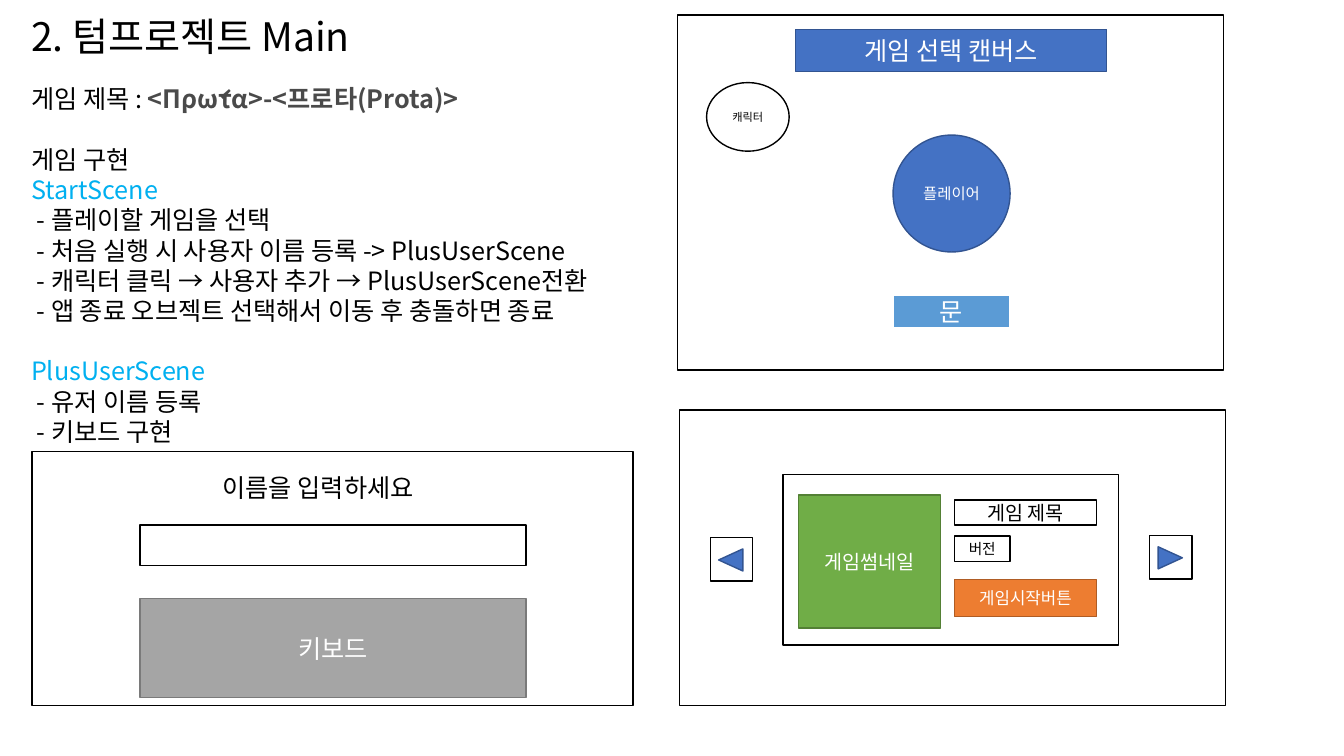
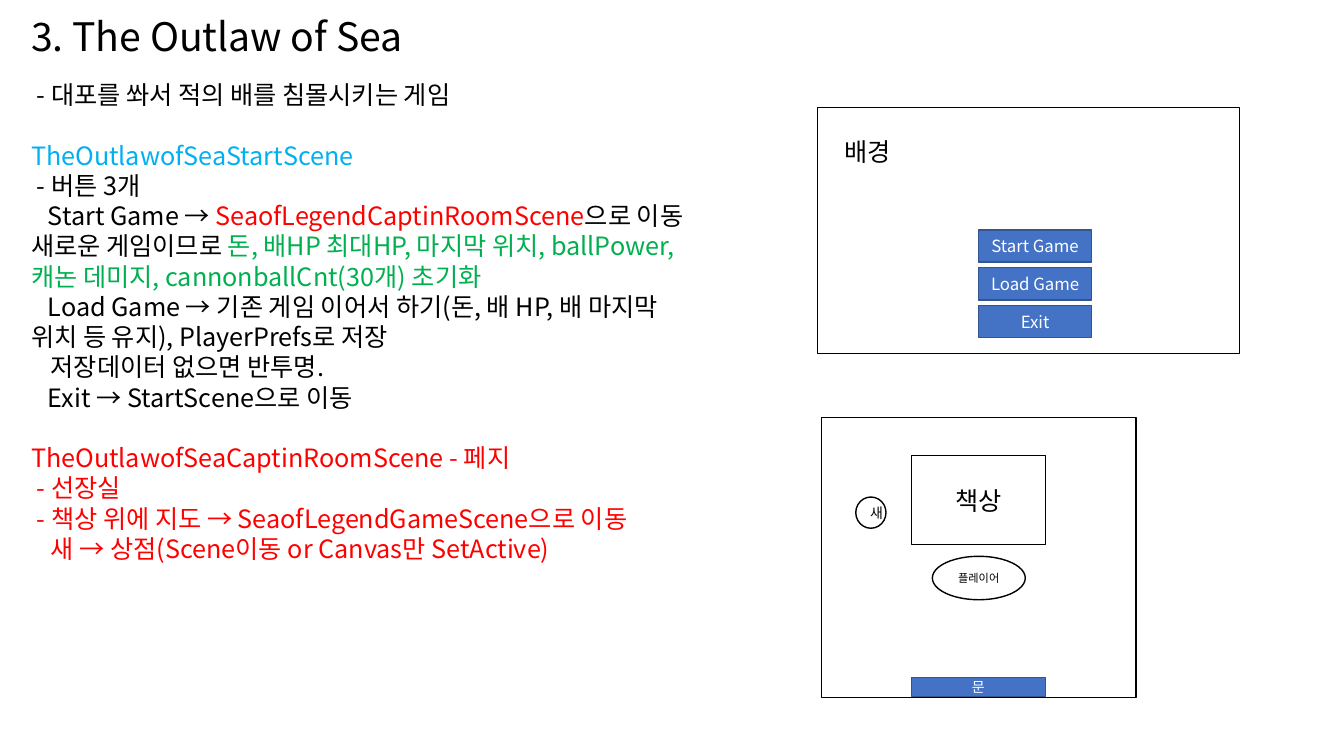
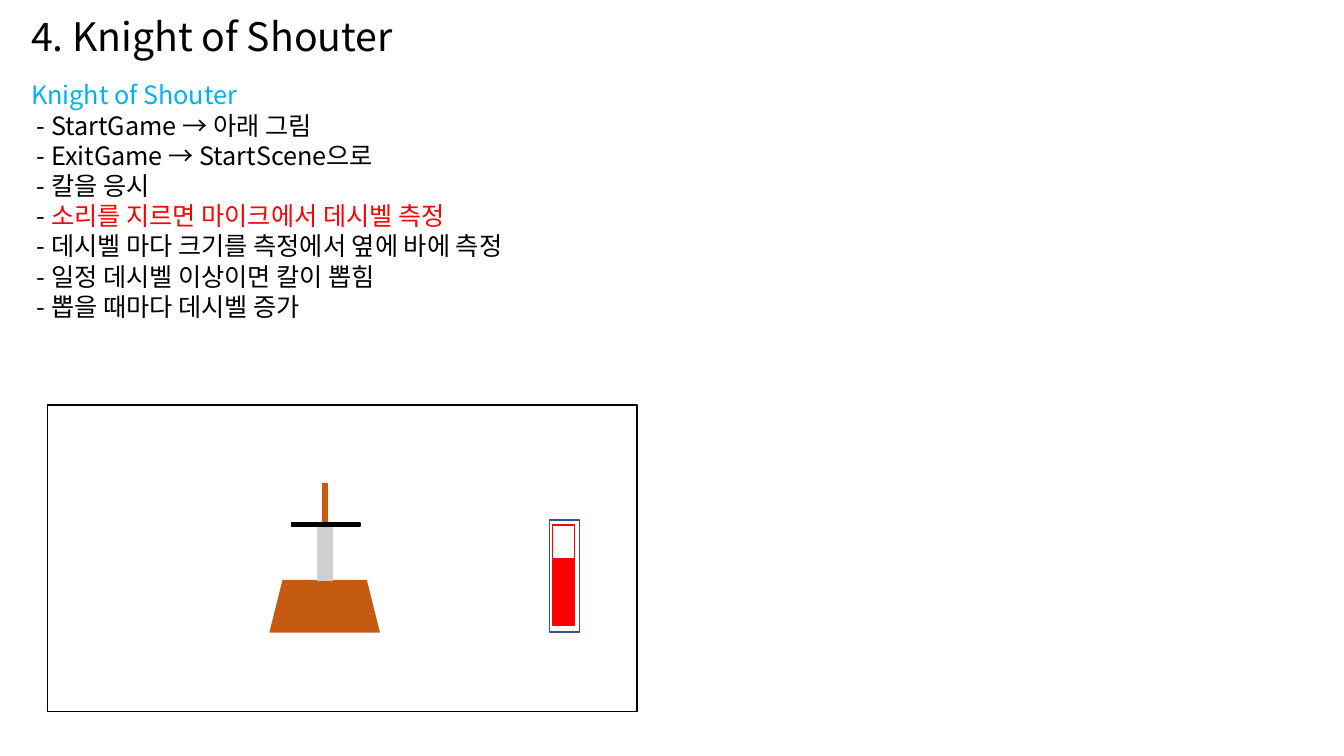
"""Build three slides that plan a game project with screen sketches."""
from lxml import etree
from pptx import Presentation
from pptx.dml.color import RGBColor
from pptx.enum.shapes import MSO_SHAPE
from pptx.enum.text import MSO_ANCHOR, PP_ALIGN
from pptx.oxml.ns import qn
from pptx.util import Pt

RECT = MSO_SHAPE.RECTANGLE
OVAL = MSO_SHAPE.OVAL
TRI = MSO_SHAPE.ISOSCELES_TRIANGLE
TRAP = MSO_SHAPE.TRAPEZOID
MID = MSO_ANCHOR.MIDDLE
MITTE = PP_ALIGN.CENTER


class Theme:
    font = "Noto Sans CJK KR"
    black, white, gray = "000000", "FFFFFF", "4A4A4A"
    sky, red, green = "00B0F0", "FF0000", "00B050"
    blue, navy, pale = "4472C4", "325491", "5B9BD5"
    key, rim = "A5A5A5", "7A7A7A"
    leaf, moss = "70AD47", "538035"
    orange, rust = "ED7D31", "AF5C24"
    wood, steel = "C55A11", "D0CECE"
    head, body, mid, base, small, mini, tiny = 28, 18, 14, 12, 11, 10, 8
    lead, pitch = 30.2, 21.6


T = Theme


def style(run, size, ink, bold=False):
    """Set the font of one run."""
    run.font.name = T.font
    run.font.size = Pt(size)
    run.font.bold = bold
    run.font.color.rgb = RGBColor.from_string(ink)
    etree.SubElement(run.font._element, qn("a:ea"), typeface=T.font)


def draw(slide, kind, area, fill=T.white, line=T.black, text="", size=T.body, ink=T.white):
    """Add one shape with an optional centred label."""
    shape = slide.shapes.add_shape(kind, *map(Pt, area))
    shape.shadow.inherit = False
    if fill:
        shape.fill.solid()
        shape.fill.fore_color.rgb = RGBColor.from_string(fill)
    else:
        shape.fill.background()
    shape.line.color.rgb = RGBColor.from_string(line)
    shape.line.width = Pt(1)
    if text:
        frame = shape.text_frame
        frame.text = text
        frame.vertical_anchor = MID
        frame.paragraphs[0].alignment = MITTE
        style(frame.paragraphs[0].runs[0], size, ink)
    return shape


deck = Presentation()
deck.slide_width, deck.slide_height = Pt(960), Pt(540)

K, S, R, G = T.black, T.sky, T.red, T.green
pages = [
    ("2. 텀프로젝트 Main", 265, (15.1, 56.2, 469.4, 269.3), [
        (0, 0, ("게임 제목 : ", K), ("<Πρώτα>-<프로타(Prota)>", T.gray)),
        (1, 0, ("게임 구현", K)),
        (0, 0, ("StartScene", S)),
        (0, 0, (" - 플레이할 게임을 선택", K)),
        (0, 0, (" - 처음 실행 시 사용자 이름 등록 -> PlusUserScene", K)),
        (0, 0, (" - 캐릭터 클릭 → 사용자 추가 → PlusUserScene전환", K)),
        (0, 0, (" - 앱 종료 오브젝트 선택해서 이동 후 충돌하면 종료", K)),
        (1, 0, ("PlusUserScene", S)),
        (0, 0, (" - 유저 이름 등록", K)),
        (0, 0, (" - 키보드 구현", K)),
    ]),
    ("3. The Outlaw of Sea", 436.3, (15.1, 53.3, 493.2, 356.4), [
        (0, 0, (" - 대포를 쏴서 적의 배를 침몰시키는 게임", K)),
        (1, 0, ("TheOutlawofSeaStartScene", S)),
        (0, 0, (" - 버튼 3개", K)),
        (0, 12, ("Start Game → ", K), ("SeaofLegendCaptinRoomScene", R), ("으로 이동", K)),
        (0, 0, ("새로운 게임이므로 ", K),
         ("돈, 배HP 최대HP, 마지막 위치, ballPower, 캐논 데미지, cannonballCnt(30개) 초기화", G)),
        (0, 12, ("Load Game → 기존 게임 이어서 하기(돈, 배 HP, 배 마지막 위치 등 유지), PlayerPrefs로 저장", K)),
        (0, 14, ("저장데이터 없으면 반투명.", K)),
        (0, 12, ("Exit → StartScene으로 이동", K)),
        (1, 0, ("TheOutlawofSeaCaptinRoomScene - 페지", R)),
        (0, 0, (" - 선장실", R)),
        (0, 0, (" - 책상 위에 지도 → SeaofLegendGameScene으로 이동", R)),
        (0, 14, ("새 → 상점(Scene이동 or Canvas만 SetActive)", R)),
    ]),
    ("4. Knight of Shouter", 436.3, (15.1, 53.3, 440.6, 181.4), [
        (0, 0, ("Knight of Shouter", S)),
        (0, 0, (" - StartGame → 아래 그림", K)),
        (0, 0, (" - ExitGame → StartScene으로", K)),
        (0, 0, (" - 칼을 응시", K)),
        (0, 0, (" - ", K), ("소리를 지르면 마이크에서 데시벨 측정", R)),
        (0, 0, (" - 데시벨 마다 크기를 측정에서 옆에 바에 측정", K)),
        (0, 0, (" - 일정 데시벨 이상이면 칼이 뽑힘", K)),
        (0, 0, (" - 뽑을 때마다 데시벨 증가", K)),
    ]),
]

slides = []
for title, width, area, lines in pages:
    slide = deck.slides.add_slide(deck.slide_layouts[6])
    slides.append(slide)
    frame = slide.shapes.add_textbox(Pt(15.1), Pt(8.6), Pt(width), Pt(44.6)).text_frame
    frame.word_wrap = True
    frame.text = title
    frame.paragraphs[0].line_spacing = Pt(T.lead)
    style(frame.paragraphs[0].runs[0], T.head, K)
    frame = slide.shapes.add_textbox(*map(Pt, area)).text_frame
    frame.word_wrap = True
    for row, (gap, indent, *parts) in enumerate(lines):
        para = frame.add_paragraph() if row else frame.paragraphs[0]
        para.line_spacing = Pt(T.pitch)
        para.space_before = Pt(gap * T.pitch)
        if indent:
            para._p.get_or_add_pPr().set("indent", str(Pt(indent)))
        for text, ink in parts:
            run = para.add_run()
            run.text = text
            style(run, T.body, ink, ink == T.gray)

main, sea, knight = slides

draw(main, RECT, (23, 322.6, 429.1, 181.4))
draw(main, RECT, (100.1, 375.1, 275.8, 28.8))
draw(main, RECT, (100.1, 427.7, 275.8, 70.6), T.key, T.rim, "키보드")
draw(main, RECT, (483.8, 10.8, 390.2, 253.4))
draw(main, OVAL, (504.7, 59, 59, 49), text="캐릭터", size=T.tiny, ink=K)
door = draw(main, RECT, (637.9, 211, 83.5, 23), T.pale, T.white, "문")
door.line.width = Pt(1.5)
draw(main, OVAL, (637.9, 96.5, 83.6, 83.5), T.blue, T.navy, "플레이어", T.small)
draw(main, RECT, (568.1, 20.9, 222.5, 30.2), T.blue, T.navy, "게임 선택 캔버스")

draw(main, RECT, (485.3, 293, 390.2, 211))
draw(main, RECT, (559.4, 339.1, 239.8, 121.7))
for left, top, turn in ((506.9, 384.5, 270), (820.8, 383, 90)):
    draw(main, RECT, (left, top, 31, 30.2)).rotation = turn
    draw(main, TRI, (left + 7.2, top + 6.8, 15.8, 17.3), T.blue, T.navy).rotation = turn
draw(main, RECT, (570.2, 353.5, 101.5, 95), T.leaf, T.moss, "게임썸네일", T.mid)
draw(main, RECT, (681.8, 357.1, 101.5, 18), text="게임 제목", size=T.mid, ink=K)
draw(main, RECT, (681.8, 383, 39.6, 18), text="버전", size=10.5, ink=K)
draw(main, RECT, (681.8, 414, 101.5, 26.6), T.orange, T.rust, "게임시작버튼", T.base)

draw(sea, RECT, (583.9, 77, 301.7, 175.7), None)
for row, text in enumerate(("Start Game", "Load Game", "Exit")):
    draw(sea, RECT, (699.1, 164.2 + 27 * row, 80.6, 23), T.blue, T.navy, text, T.base)
draw(sea, RECT, (586.8, 298.1, 224.6, 200.2))
draw(sea, OVAL, (666, 397.4, 66.4, 31), text="플레이어", size=T.tiny, ink=K)
draw(sea, RECT, (650.9, 325.4, 95.8, 63.4), text="책상", ink=K)
draw(sea, RECT, (650.9, 483.8, 95.8, 13.7), T.blue, T.navy, "문", T.mini)
draw(sea, OVAL, (611.3, 355, 21.6, 22.3), text="새", size=T.mini, ink=K)

for slide, text, area, wrap in (
    (main, "이름을 입력하세요", (151.9, 334.1, 171.4, 28.8), True),
    (sea, "배경", (596.2, 93.6, 51.1, 28.8), False),
):
    frame = slide.shapes.add_textbox(*map(Pt, area)).text_frame
    frame.word_wrap = wrap
    frame.text = text
    frame.paragraphs[0].line_spacing = Pt(T.pitch)
    style(frame.paragraphs[0].runs[0], T.body, K)

for kind, area, fill, line in (
    (RECT, (33.8, 289.4, 421.2, 218.9), T.white, K),
    (RECT, (392.4, 371.5, 21.6, 79.9), T.white, T.navy),
    (RECT, (394.6, 398.2, 15.8, 48.2), R, R),
    (RECT, (394.6, 375.1, 15.8, 23.8), T.white, R),
    (TRAP, (193, 414.7, 77.8, 36.7), T.wood, T.wood),
    (RECT, (226.8, 375.1, 10.8, 39.6), T.steel, T.steel),
    (RECT, (230.4, 345.6, 3.6, 28.8), T.wood, T.wood),
    (RECT, (208.1, 373.7, 49, 2.2), K, K),
):
    draw(knight, kind, area, fill, line)

deck.save("out.pptx")
